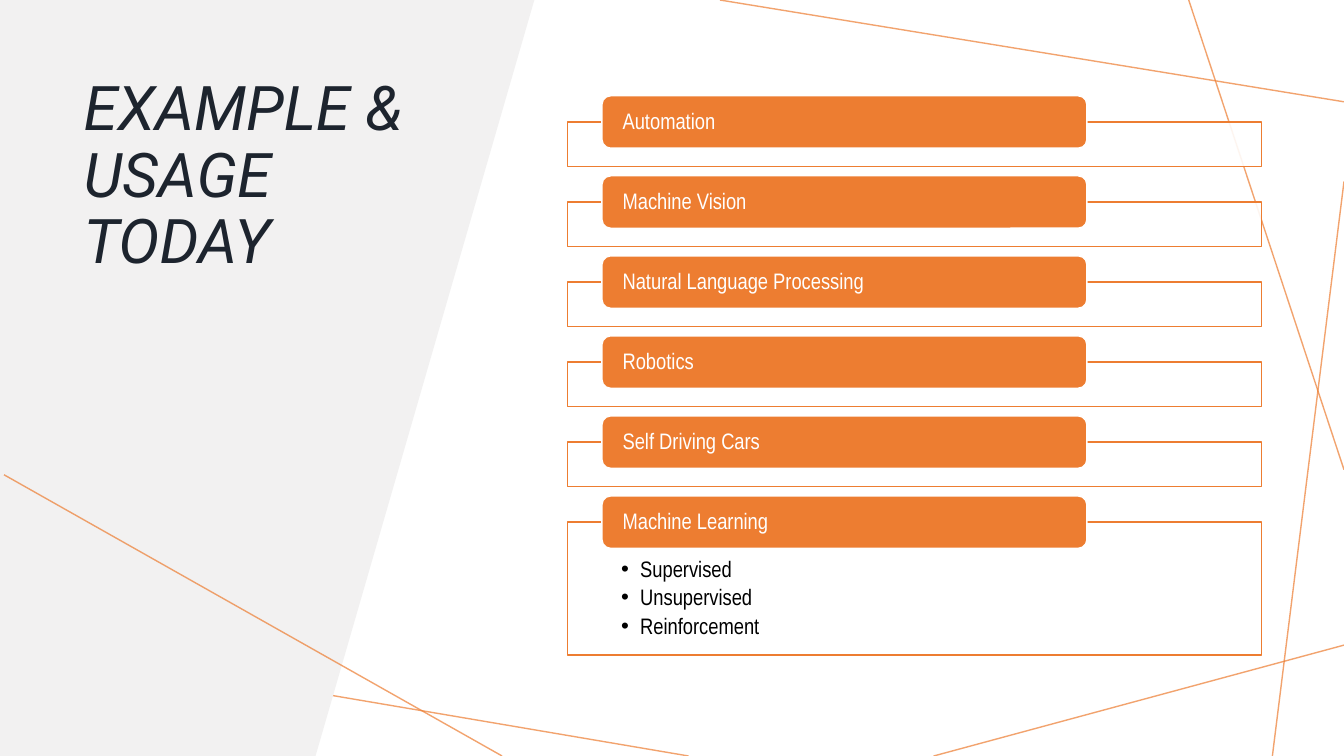
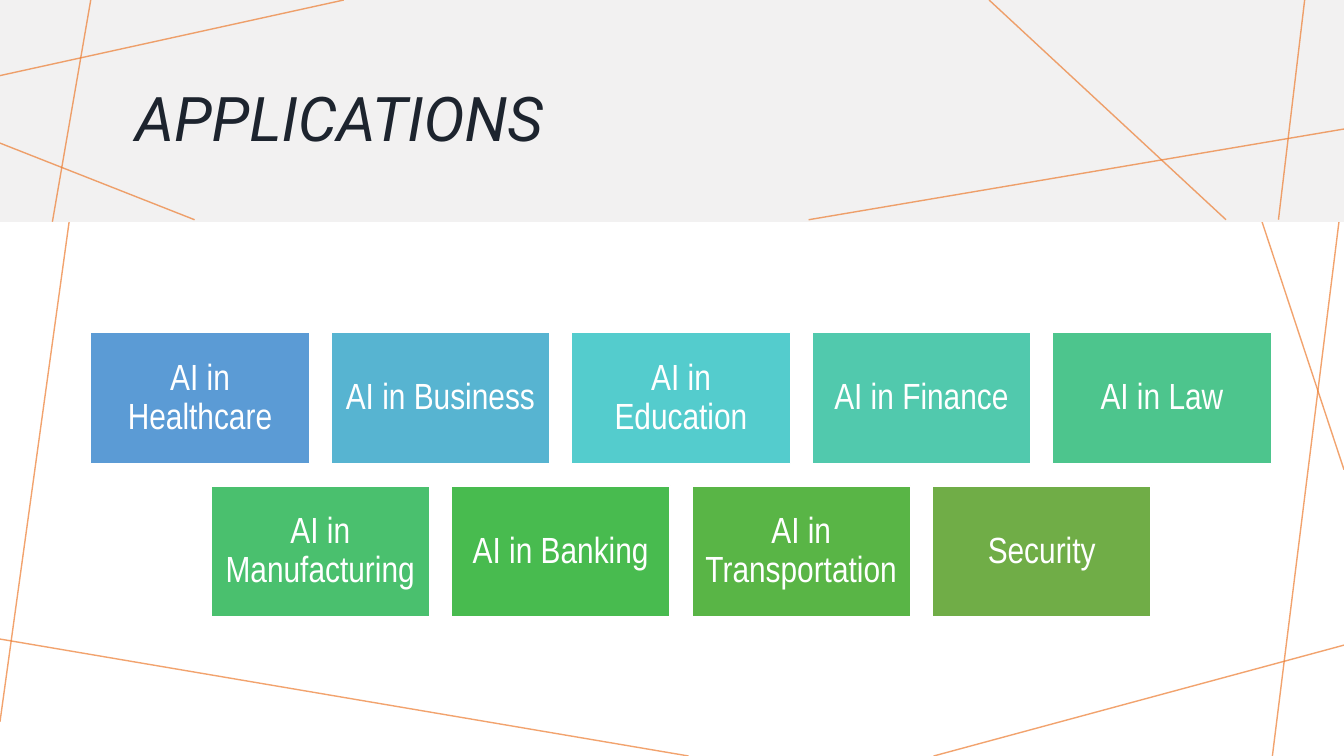
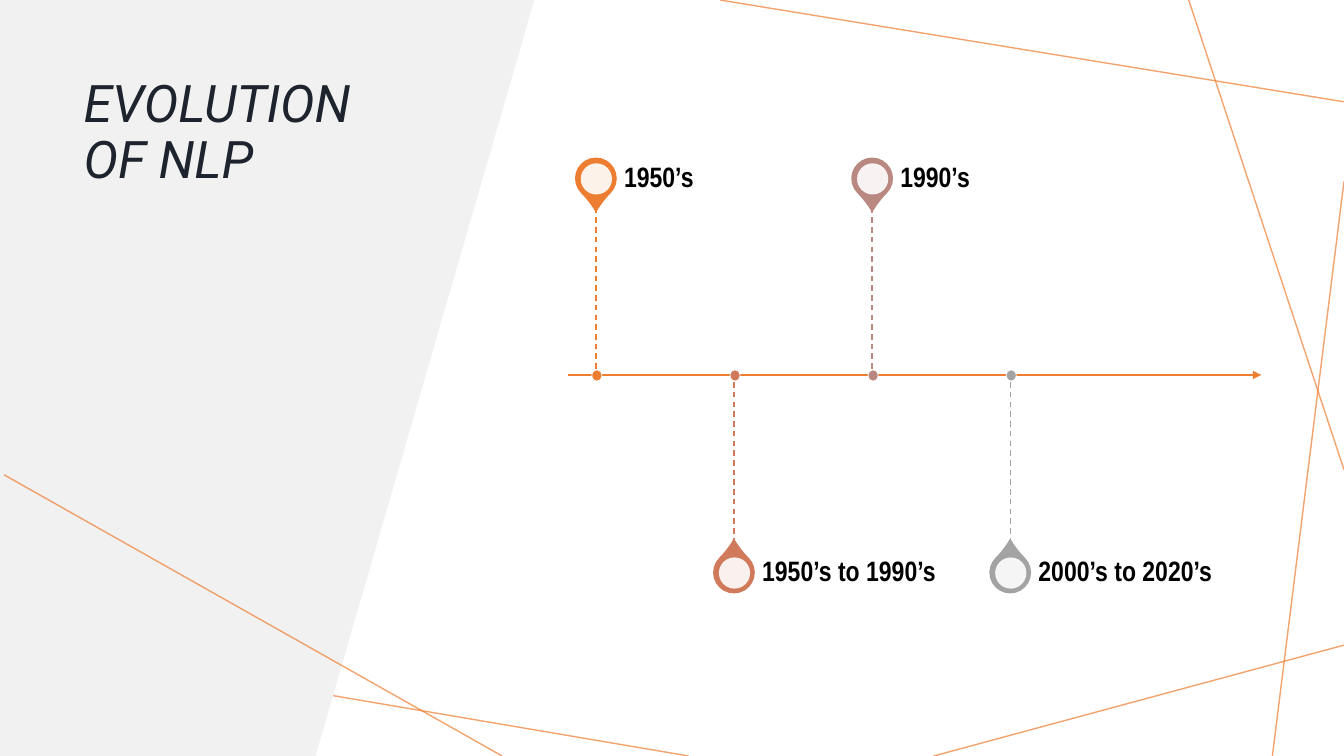
from lxml import etree
from pptx import Presentation
from pptx.dml.color import RGBColor
from pptx.enum import dml, shapes, text
from pptx.oxml import ns
from pptx.util import Inches, Pt

ORANGE = RGBColor(0xED, 0x7D, 0x31)
PALE_GREY = RGBColor(0xF2, 0xF1, 0xF1)
NAVY = RGBColor(0x1D, 0x24, 0x2E)
WHITE = RGBColor(0xFF, 0xFF, 0xFF)
BLACK = RGBColor(0x00, 0x00, 0x00)
ROSE = RGBColor(0xD1, 0x7A, 0x5B)
MAUVE = RGBColor(0xB8, 0x88, 0x81)
GREY = RGBColor(0xA3, 0xA3, 0xA3)
BLUE = RGBColor(0x5B, 0x9B, 0xD5)
SKY = RGBColor(0x57, 0xB4, 0xD1)
TURQUOISE = RGBColor(0x54, 0xCC, 0xCD)
TEAL = RGBColor(0x51, 0xC9, 0xAD)
MINT = RGBColor(0x4D, 0xC5, 0x8D)
JADE = RGBColor(0x4A, 0xC0, 0x6E)
GREEN = RGBColor(0x48, 0xBB, 0x4F)
LEAF = RGBColor(0x59, 0xB5, 0x46)
OLIVE = RGBColor(0x70, 0xAD, 0x47)
TITLE_FONT = "Roboto"
BODY_FONT = "Arial Narrow"
SHAPE = shapes.MSO_SHAPE


def add_line(slide, points, colour=ORANGE, width=1, opacity=100):
    line = slide.shapes.add_connector(shapes.MSO_CONNECTOR.STRAIGHT, *map(Inches, points))
    line.line.color.rgb = colour
    line.line.width = Pt(width)
    if opacity < 100:
        for fill_colour in line.element.spPr.iter(ns.qn("a:srgbClr")):
            etree.SubElement(fill_colour, ns.qn("a:alpha"), val=str(opacity * 1000))
    etree.SubElement(line.element.spPr, ns.qn("a:effectLst"))
    return line


def style_shape(shape, fill, outline=None, width=1, opacity=100):
    shape.shadow.inherit = False
    shape.fill.solid()
    shape.fill.fore_color.rgb = fill
    if opacity < 100:
        for fill_colour in shape.element.spPr.iter(ns.qn("a:srgbClr")):
            etree.SubElement(fill_colour, ns.qn("a:alpha"), val=str(opacity * 1000))
    if outline is None:
        shape.line.fill.background()
    else:
        shape.line.color.rgb = outline
        shape.line.width = Pt(width)


presentation = Presentation()
presentation.slide_width = Inches(13.33)
presentation.slide_height = Inches(7.5)
title_layout = presentation.slide_layouts.get_by_name("Title Only")

side_title = (0.73, 0.72, 3.53, 3.9)
side_outline = [(3.13, 7.5), (0, 7.5), (0, 0), (5.3, 0)]
side_lines = [(0.04, 4.71, 4.98, 7.5)]
top_title = (1.24, 0.54, 11.01, 1.34)
top_outline = [(0, 0), (13.33, 0), (13.33, 2.2), (0, 2.2)]
top_lines = [
    (3.41, 0, 0, 0.75),
    (0.9, 0, 0.52, 2.2),
    (1.93, 2.18, 0, 1.42),
    (13.33, 1.28, 8.02, 2.18),
    (12.16, 2.18, 9.81, 0),
    (12.94, 0, 12.68, 2.18),
]
TOP, MIDDLE = text.MSO_ANCHOR.TOP, text.MSO_ANCHOR.MIDDLE
slide_heads = [
    ("EXAMPLE & USAGE TODAY", 44, side_title, TOP, side_outline, side_lines),
    ("APPLICATIONS", 44, top_title, MIDDLE, top_outline, top_lines),
    ("EVOLUTION OF NLP", 37, side_title, TOP, side_outline, side_lines),
]
for heading, size, box, anchor, outline, lines in slide_heads:
    slide = presentation.slides.add_slide(title_layout)
    builder = slide.shapes.build_freeform(*map(Inches, outline[0]))
    builder.add_line_segments([(Inches(x), Inches(y)) for x, y in outline[1:]])
    style_shape(builder.convert_to_shape(), PALE_GREY)
    for points in lines:
        add_line(slide, points, opacity=70)
    title = slide.shapes.title
    title.left, title.top, title.width, title.height = map(Inches, box)
    slide.shapes.element.append(title.element)
    frame = title.text_frame
    frame.text = heading
    frame.auto_size = text.MSO_AUTO_SIZE.NONE
    frame.vertical_anchor = anchor
    paragraph = frame.paragraphs[0]
    paragraph.alignment = text.PP_ALIGN.LEFT
    paragraph.line_spacing = 0.9
    paragraph.font.name = TITLE_FONT
    paragraph.font.size = Pt(size)
    paragraph.font.italic = True
    paragraph.font.color.rgb = NAVY

usage_slide, applications_slide, evolution_slide = presentation.slides

master_lines = [
    (3.41, 0, 0, 0.75),
    (0.99, 0, 0, 7.16),
    (6.83, 7.5, 0, 6.34),
    (13.33, 6.4, 9.26, 7.5),
    (13.33, 1.8, 12.62, 7.5),
    (13.33, 4.66, 11.79, 0),
    (13.33, 1.01, 7.14, 0),
]
for number, points in enumerate(master_lines, start=20):
    line = add_line(usage_slide, points, opacity=70)
    line.element.nvCxnSpPr.cNvPr.id = number
    presentation.slide_master.shapes.element.append(line.element)

usages = ["Automation", "Machine Vision", "Natural Language Processing",
          "Robotics", "Self Driving Cars", "Machine Learning"]
learning_types = ["Supervised", "Unsupervised", "Reinforcement"]
first_bar, last_bar = 0.95, 4.92
bar_pitch = (last_bar - first_bar) / (len(usages) - 1)
for index, usage in enumerate(usages):
    bar_top = first_bar + index * bar_pitch
    is_last = usage == usages[-1]
    panel = usage_slide.shapes.add_shape(
        SHAPE.RECTANGLE, Inches(5.63), Inches(bar_top + 0.26),
        Inches(6.88), Inches(1.32 if is_last else 0.44))
    style_shape(panel, WHITE, ORANGE, opacity=90)
    bar = usage_slide.shapes.add_shape(
        SHAPE.ROUNDED_RECTANGLE, Inches(5.97), Inches(bar_top), Inches(4.81), Inches(0.52))
    style_shape(bar, ORANGE, WHITE)
    frame = bar.text_frame
    frame.text = usage
    frame.margin_left = frame.margin_right = Inches(0.18)
    frame.margin_top = frame.margin_bottom = 0
    paragraph = frame.paragraphs[0]
    paragraph.alignment = text.PP_ALIGN.LEFT
    paragraph.line_spacing = 0.9
    paragraph.font.name = BODY_FONT
    paragraph.font.size = Pt(16)
    paragraph.font.color.rgb = WHITE

frame = panel.text_frame
frame.text = "\n".join(learning_types)
frame.vertical_anchor = TOP
frame.margin_left = frame.margin_right = Inches(0.53)
frame.margin_top, frame.margin_bottom = Inches(0.36), Inches(0.12)
for paragraph in frame.paragraphs:
    paragraph.alignment = text.PP_ALIGN.LEFT
    paragraph.line_spacing = 0.9
    paragraph.space_after = Pt(2.9)
    properties = paragraph._p.get_or_add_pPr()
    properties.set("marL", str(Inches(0.19)))
    properties.set("indent", str(Inches(-0.19)))
    etree.SubElement(properties, ns.qn("a:buFont"), typeface="Arial")
    etree.SubElement(properties, ns.qn("a:buChar"), char="•")
    paragraph.font.name = BODY_FONT
    paragraph.font.size = Pt(16)
    paragraph.font.color.rgb = BLACK

first_left, last_left = 0.9, 10.44
tile_pitch = (last_left - first_left) / 4
tile_rows = [
    (first_left, 3.3, [("AI in Healthcare", BLUE), ("AI in Business", SKY),
                       ("AI in Education", TURQUOISE), ("AI in Finance", TEAL),
                       ("AI in Law", MINT)]),
    (first_left + tile_pitch / 2, 4.82, [("AI in Manufacturing", JADE),
                                         ("AI in Banking", GREEN),
                                         ("AI in Transportation", LEAF),
                                         ("Security", OLIVE)]),
]
for row_left, row_top, tiles in tile_rows:
    for column, (label, colour) in enumerate(tiles):
        tile = applications_slide.shapes.add_shape(
            SHAPE.RECTANGLE, Inches(row_left + column * tile_pitch), Inches(row_top),
            Inches(2.17), Inches(1.3))
        style_shape(tile, colour, WHITE)
        frame = tile.text_frame
        frame.text = label
        frame.margin_left = frame.margin_right = Inches(0.11)
        frame.margin_top = frame.margin_bottom = Inches(0.11)
        paragraph = frame.paragraphs[0]
        paragraph.alignment = text.PP_ALIGN.CENTER
        paragraph.line_spacing = 0.9
        paragraph.font.name = BODY_FONT
        paragraph.font.size = Pt(26)
        paragraph.font.color.rgb = WHITE

axis_y = 3.72
axis = add_line(evolution_slide, (5.63, axis_y, 12.51, axis_y), width=1.5)
etree.SubElement(axis.line._get_or_add_ln(), ns.qn("a:tailEnd"), type="triangle")
periods = [("1950’s", ORANGE), ("1950’s to 1990’s", ROSE),
           ("1990’s", MAUVE), ("2000’s to 2020’s", GREY)]
for index, (period, colour) in enumerate(periods):
    x = 5.91 + index * 1.37
    is_above = index % 2 == 0
    pin_y = 1.77 if is_above else 5.68
    stem_end = 2.06 if is_above else 5.39
    pin = evolution_slide.shapes.add_shape(
        SHAPE.TEAR, Inches(x - 0.2), Inches(pin_y - 0.2), Inches(0.4), Inches(0.4))
    pin.adjustments[0] = 1.15
    pin.rotation = 135 if is_above else 315
    style_shape(pin, colour, colour)
    pin_hole = evolution_slide.shapes.add_shape(
        SHAPE.OVAL, Inches(x - 0.15), Inches(pin_y - 0.15), Inches(0.31), Inches(0.31))
    style_shape(pin_hole, WHITE, opacity=90)
    label = evolution_slide.shapes.add_textbox(
        Inches(x + 0.28), Inches(pin_y - 0.3), Inches(2.2), Inches(0.59))
    frame = label.text_frame
    frame.text = period
    frame.word_wrap = True
    frame.vertical_anchor = MIDDLE
    frame.margin_left = frame.margin_top = frame.margin_bottom = 0
    frame.margin_right = Inches(0.14)
    paragraph = frame.paragraphs[0]
    paragraph.line_spacing = 0.9
    paragraph.font.name = BODY_FONT
    paragraph.font.size = Pt(20)
    paragraph.font.bold = True
    paragraph.font.color.rgb = BLACK
    stem = add_line(evolution_slide, (x, stem_end, x, axis_y), colour)
    stem.line.dash_style = dml.MSO_LINE.DASH
    dot = evolution_slide.shapes.add_shape(
        SHAPE.OVAL, Inches(x - 0.04), Inches(axis_y - 0.05), Inches(0.1), Inches(0.11))
    style_shape(dot, colour, WHITE, 0.5)

presentation.save("out.pptx")
